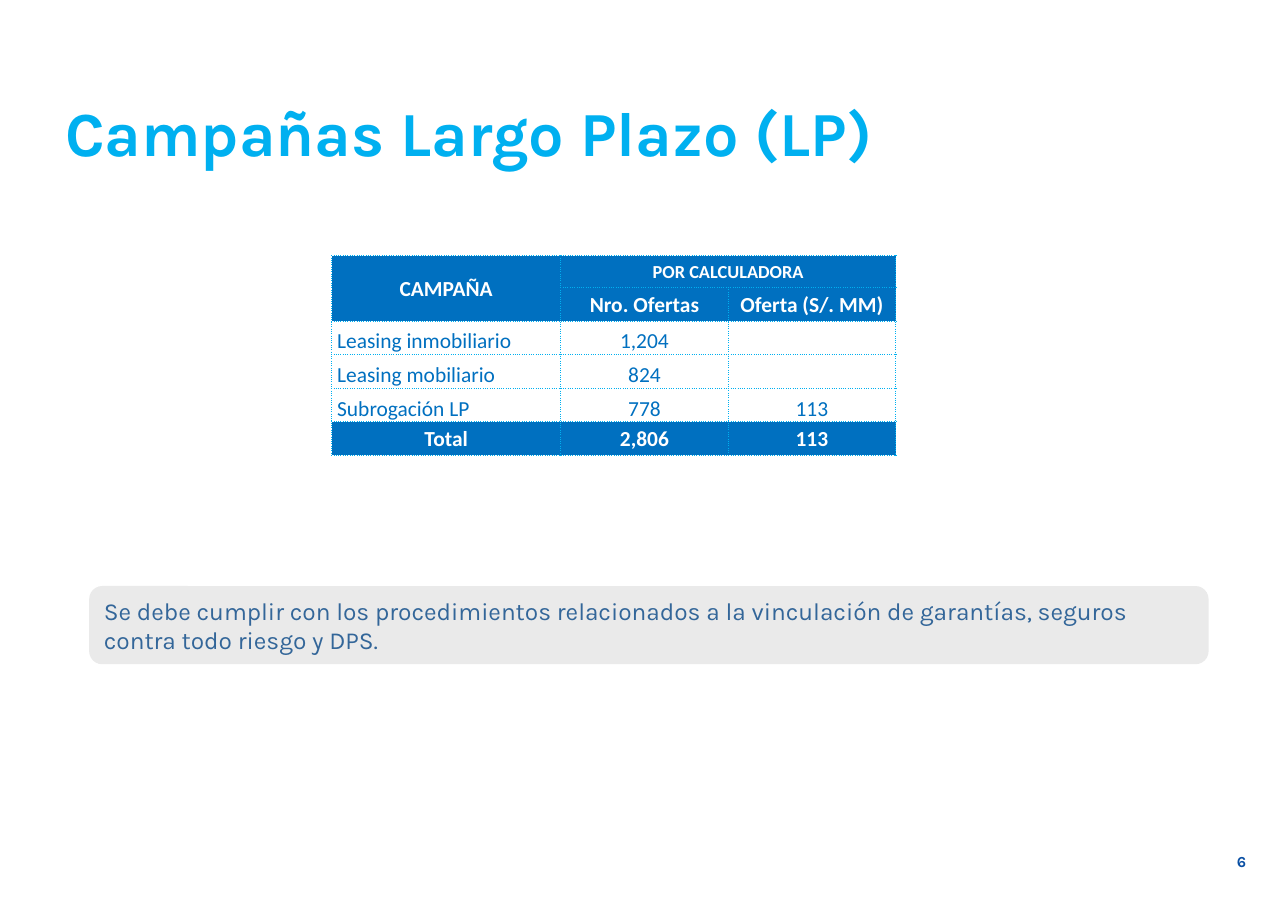
from lxml.etree import SubElement
from pptx import Presentation
from pptx.dml.color import RGBColor
from pptx.enum.shapes import MSO_SHAPE as Shape
from pptx.enum.text import MSO_ANCHOR as Anchor, MSO_AUTO_SIZE as AutoSize, PP_ALIGN as Align
from pptx.oxml.ns import qn
from pptx.util import Emu, Pt

PX = 4572
SKY, BLUE, NAVY, SLATE = "00B0F0", "0070C0", "094FA4", "336699"
GREY, WHITE = "EAEAEA", "FFFFFF"
COLUMNS = [416, 304, 304]
ROWS = [58] + [61] * 5
CAMPAIGNS = [
    ["CAMPAÑA", "POR CALCULADORA", ""],
    ["", "Nro. Ofertas", "Oferta (S/. MM)"],
    ["Leasing inmobiliario", "1,204", ""],
    ["Leasing mobiliario", "824", ""],
    ["Subrogación LP", "778", "113"],
    ["Total", "2,806", "113"],
]
BODY_ROWS = range(2, 5)


def px(count):
    return Emu(count * PX)


def color(value):
    return RGBColor.from_string(value)


def write(frame, text, size, ink, font="Karla", bold=False, align=Align.LEFT):
    para = frame.paragraphs[0]
    para.text = text
    para.alignment = align
    para.font.name = font
    para.font.size = Pt(size)
    para.font.bold = bold
    para.font.color.rgb = color(ink)
    return para


def add_title(page, text, left, top, width, height):
    title = page.shapes.title
    title.left, title.top = px(left), px(top)
    title.width, title.height = px(width), px(height)
    frame = title.text_frame
    frame.auto_size = AutoSize.NONE
    frame.vertical_anchor = Anchor.MIDDLE
    para = write(frame, text, 41, SKY, bold=True)
    para.line_spacing = 0.8


def add_note(page, text, left, top, width, height):
    note = page.shapes.add_shape(
        Shape.ROUNDED_RECTANGLE, px(left), px(top), px(width), px(height))
    note.shadow.inherit = False
    note.fill.solid()
    note.fill.fore_color.rgb = color(GREY)
    note.line.fill.background()
    note.text_frame.word_wrap = True
    note.text_frame.vertical_anchor = Anchor.MIDDLE
    write(note.text_frame, text, 16, SLATE)


def add_page_number(page, text, left, top, width, height):
    box = page.shapes.add_textbox(px(left), px(top), px(width), px(height))
    frame = box.text_frame
    frame.word_wrap = True
    frame.margin_left = frame.margin_right = frame.margin_top = frame.margin_bottom = 0
    write(frame, text, 10, NAVY, bold=True, align=Align.RIGHT)


def add_borders(cell):
    properties = cell._tc.get_or_add_tcPr()
    for index, side in enumerate(("a:lnL", "a:lnR", "a:lnT", "a:lnB")):
        line = properties.makeelement(qn(side), {"w": str(Pt(0.5))})
        properties.insert(index, line)
        fill = SubElement(line, qn("a:solidFill"))
        SubElement(fill, qn("a:srgbClr"), val=SKY)
        SubElement(line, qn("a:prstDash"), val="sysDot")


def format_cell(cell, text, row, column):
    body = row in BODY_ROWS
    label = body and column == 0
    cell.margin_left = px(10 if label else 2)
    cell.margin_right = cell.margin_top = px(2)
    cell.margin_bottom = 0
    cell.vertical_anchor = Anchor.BOTTOM if body else Anchor.MIDDLE
    if body:
        cell.fill.background()
    else:
        cell.fill.solid()
        cell.fill.fore_color.rgb = color(BLUE)
    write(cell.text_frame, text, 12 if row == 0 and column else 14,
          BLUE if body else WHITE, "Calibri", not body,
          Align.LEFT if label else Align.CENTER)
    add_borders(cell)


def add_campaign_table(page, left, top):
    table = page.shapes.add_table(
        len(ROWS), len(COLUMNS), px(left), px(top), px(sum(COLUMNS)), px(sum(ROWS))).table
    table.first_row = table.horz_banding = False
    for column, width in zip(table.columns, COLUMNS):
        column.width = px(width)
    for row, height in zip(table.rows, ROWS):
        row.height = px(height)
    for row, texts in enumerate(CAMPAIGNS):
        for column, text in enumerate(texts):
            format_cell(table.cell(row, column), text, row, column)
    table.cell(0, 0).merge(table.cell(1, 0))
    table.cell(0, 1).merge(table.cell(0, 2))


def main():
    deck = Presentation()
    deck.slide_width, deck.slide_height = px(2338), px(1654)
    page = deck.slides.add_slide(deck.slide_layouts[5])
    add_page_number(page, "6", 1522, 1548, 740, 48)
    add_title(page, "Campañas Largo Plazo (LP)", 98, 196, 2146, 110)
    add_note(page, "Se debe cumplir con los procedimientos relacionados a la vinculación "
             "de garantías, seguros contra todo riesgo y DPS.", 162, 1064, 2032, 142)
    add_campaign_table(page, 602, 464)
    deck.save("out.pptx")


if __name__ == "__main__":
    main()
